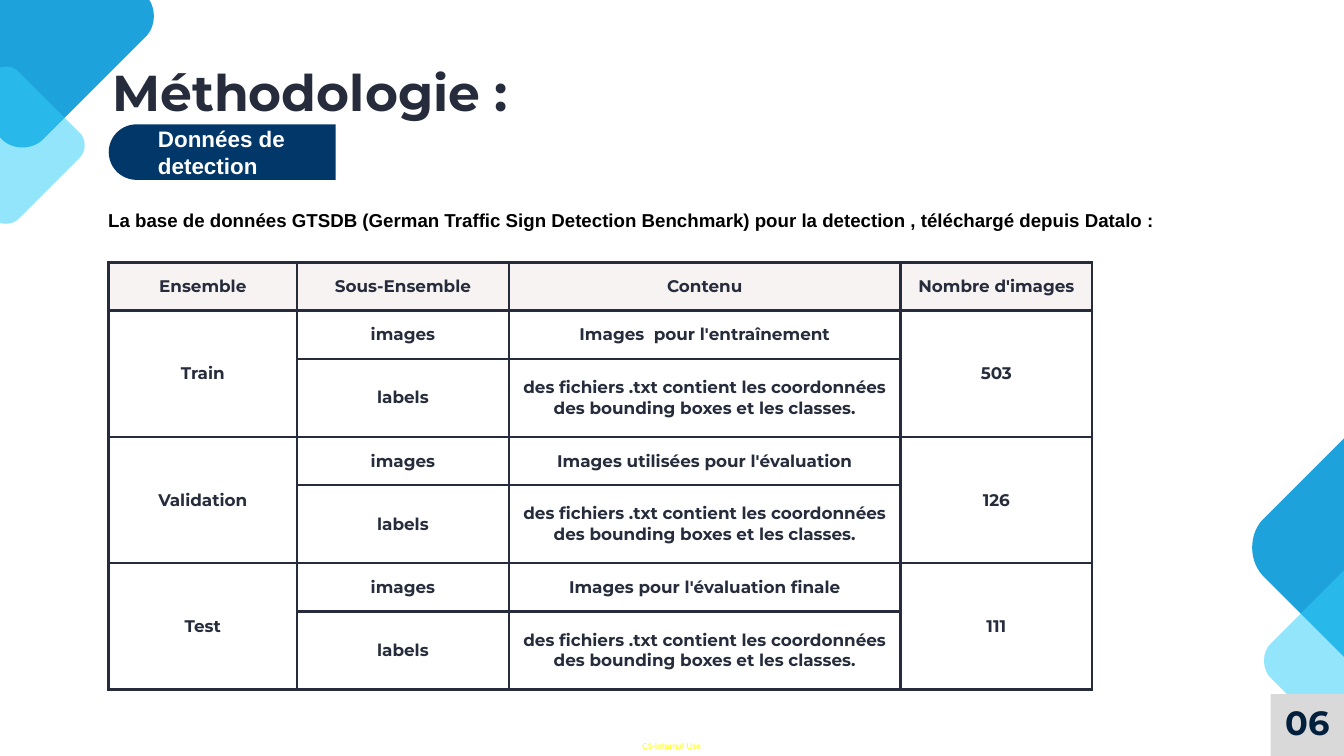
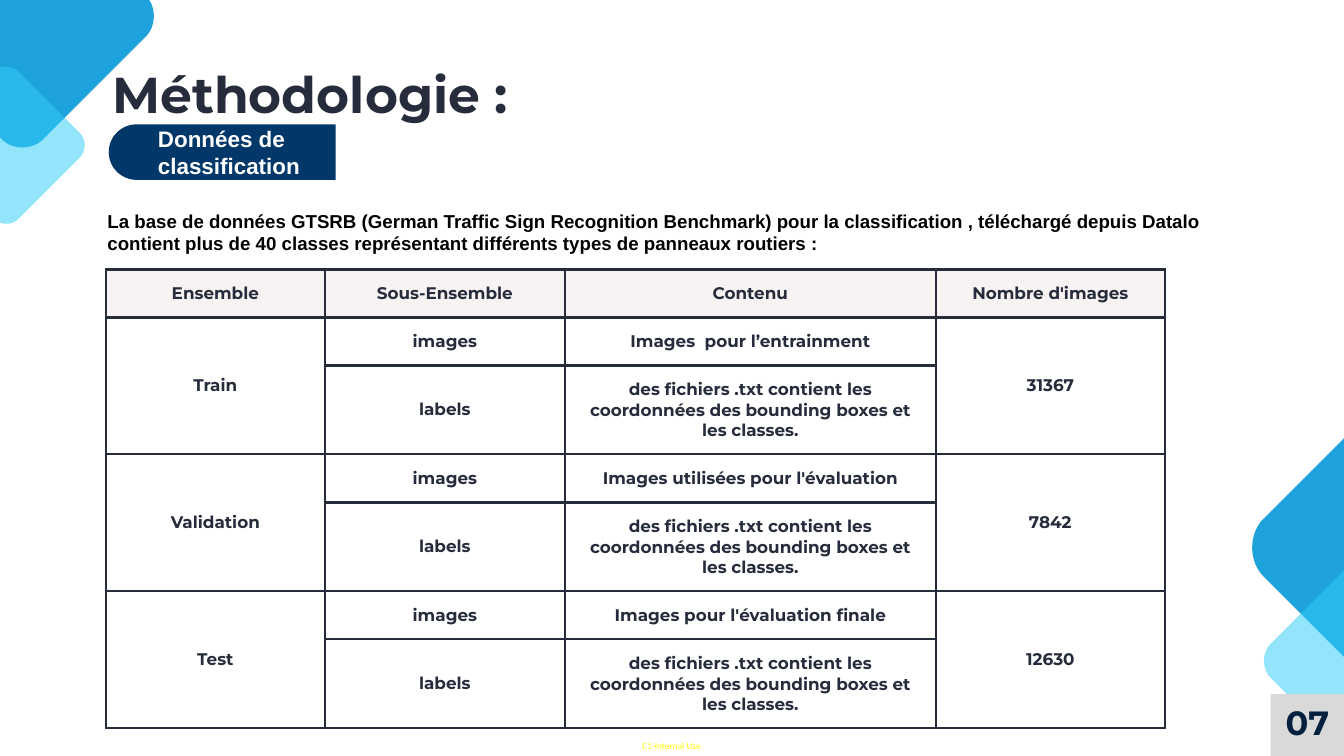
from lxml.etree import SubElement
from pptx import Presentation
from pptx.dml.color import RGBColor
from pptx.enum.shapes import MSO_SHAPE
from pptx.enum.text import MSO_ANCHOR, MSO_AUTO_SIZE, PP_ALIGN
from pptx.oxml.ns import qn
from pptx.util import Cm, Pt

INK = RGBColor(0x26, 0x2C, 0x3B)
NAVY = RGBColor(0x02, 0x37, 0x69)
NIGHT = RGBColor(0x01, 0x20, 0x3D)
BLUE = RGBColor(0x1D, 0xA2, 0xDB)
SKY = RGBColor(0x33, 0xCF, 0xF8)
GREY = RGBColor(0xD9, 0xD9, 0xD9)
CREAM = RGBColor(0xF7, 0xF3, 0xF2)
YELLOW = RGBColor(0xFF, 0xFF, 0x00)
WHITE = RGBColor(0xFF, 0xFF, 0xFF)
BLACK = RGBColor(0, 0, 0)

HEAD = "Montserrat"
BODY = "Arial"

# Centre x, centre y, half width, colour, opacity in percent
GEMS = [
    (54.28, 20.7, 7.11, BLUE, 100),
    (51.93, 24.98, 4.25, SKY, 53),
    (0.85, 0.61, 5.08, BLUE, 100),
    (0.23, 5.49, 3.04, SKY, 53),
]
# Start, two curve handles and end of the right-hand corner of a unit gem
CORNER = [(0.91, -0.16), (1, -0.08), (1, 0.08), (0.91, 0.16)]
HEADER = ["Ensemble", "Sous-Ensemble", "Contenu", "Nombre d'images"]
FILES = "des fichiers .txt contient les coordonnées des bounding boxes et les classes."


def write(frame, text, font=BODY, size=20, color=BLACK, bold=True,
          align=PP_ALIGN.LEFT, anchor=MSO_ANCHOR.TOP, inset=None, wrap=True):
    """Fill a text frame or a table cell; inset is in cm."""
    body = getattr(frame, "text_frame", frame)
    body.text = text
    body.word_wrap = wrap
    frame.vertical_anchor = anchor
    if inset is not None:
        frame.margin_left = frame.margin_right = Cm(inset)
        frame.margin_top = frame.margin_bottom = Cm(inset)
    par = body.paragraphs[0]
    par.alignment = align
    style = par.runs[0].font
    style.name, style.size, style.bold = font, Pt(size), bold
    style.color.rgb = color


class Deck:
    def __init__(self):
        self.file = Presentation()
        self.file.slide_width, self.file.slide_height = Cm(50.8), Cm(28.58)
        self.slide = None

    def start(self, number):
        """Add a slide with its corner gems, footer and page number."""
        self.slide = self.file.slides.add_slide(self.file.slide_layouts[5])
        self.text("C1-Internal Use", 24.28, 27.97, 2.29, 0.43, font="Calibri",
                  size=10, color=YELLOW, bold=False, inset=0, wrap=False)
        for gem in GEMS:
            self.gem(*gem)
        page = self.shape(MSO_SHAPE.RECTANGLE, 48.03, 26.24, 2.77, 2.34, GREY)
        write(page.text_frame, number, font=HEAD, size=36, color=NIGHT,
              align=PP_ALIGN.CENTER, anchor=MSO_ANCHOR.BOTTOM, inset=0.51, wrap=False)

    def paint(self, shape, color, alpha=100):
        shape.shadow.inherit = False
        shape.fill.solid()
        shape.fill.fore_color.rgb = color
        shape.line.fill.background()
        if alpha < 100:
            tone = shape._element.spPr.find(qn("a:solidFill"))[0]
            SubElement(tone, qn("a:alpha"), val=str(alpha * 1000))

    def shape(self, kind, x, y, w, h, color):
        shape = self.slide.shapes.add_shape(kind, Cm(x), Cm(y), Cm(w), Cm(h))
        self.paint(shape, color)
        return shape

    def gem(self, x, y, half, color, alpha):
        """Draw a diamond with rounded corners."""
        dots, corner = [], CORNER
        for _ in range(4):
            dots += [(Cm(x + half * u), Cm(y + half * v)) for u, v in corner]
            corner = [(-v, u) for u, v in corner]
        outline = self.slide.shapes.build_freeform(*dots[0])
        outline.add_line_segments(dots[1:], close=True)
        shape = outline.convert_to_shape()
        self.bend(shape)
        self.paint(shape, color, alpha)

    def bend(self, shape):
        """Turn the three lines of each corner into one curve."""
        lines = list(shape._element.iter(qn("a:lnTo")))
        for i in range(0, len(lines), 4):
            first, second, last = lines[i:i + 3]
            first.tag = qn("a:cubicBezTo")
            for line in (second, last):
                first.append(line[0])
                line.getparent().remove(line)

    def text(self, text, x, y, w, h, **style):
        box = self.slide.shapes.add_textbox(Cm(x), Cm(y), Cm(w), Cm(h))
        write(box.text_frame, text, **style)

    def title(self, text, y):
        title = self.slide.shapes.title
        title.left, title.top, title.width, title.height = Cm(3.99), Cm(y), Cm(42.8), Cm(3.18)
        write(title.text_frame, text, font=HEAD, size=54, color=INK, inset=0.25)
        title.text_frame.auto_size = MSO_AUTO_SIZE.NONE

    def badge(self, text):
        """Draw the section label: a bar rounded on its left end."""
        bar = self.shape(MSO_SHAPE.ROUND_2_SAME_RECTANGLE, 7.35, 1.46, 2.1, 8.58, NAVY)
        bar.adjustments[0], bar.adjustments[1] = 0.5, 0
        bar.rotation = 270
        self.text(text, 5.72, 4.6, 6.38, 2.31, size=24, color=WHITE)

    def border(self, cell):
        props = cell._tc.get_or_add_tcPr()
        for side in ("lnL", "lnR", "lnT", "lnB"):
            line = SubElement(props, qn(f"a:{side}"), w=str(Pt(3)))
            fill = SubElement(line, qn("a:solidFill"))
            SubElement(fill, qn("a:srgbClr"), val=str(INK))

    def table(self, x, y, widths, short, tall, sets):
        """Draw the data table; each set takes an image row and a label row."""
        rows = [HEADER]
        for name, note, count in sets:
            rows += [[name, "images", note, count], ["", "labels", FILES, ""]]
        heights = [short] + [short, tall] * len(sets)
        grid = self.slide.shapes.add_table(
            len(rows), len(widths), Cm(x), Cm(y), Cm(sum(widths)), Cm(sum(heights))).table
        grid.first_row = grid.horz_banding = False
        for col, width in zip(grid.columns, widths):
            col.width = Cm(width)
        for r, (row, height) in enumerate(zip(rows, heights)):
            grid.rows[r].height = Cm(height)
            for c, text in enumerate(row):
                cell = grid.cell(r, c)
                self.border(cell)
                if r == 0:
                    cell.fill.solid()
                    cell.fill.fore_color.rgb = CREAM
                else:
                    cell.fill.background()
                if text:
                    write(cell, text, font=HEAD, size=18, color=INK,
                          align=PP_ALIGN.CENTER, anchor=MSO_ANCHOR.MIDDLE, inset=0.53)
        for r in range(1, len(rows), 2):
            for c in (0, 3):
                grid.cell(r, c).merge(grid.cell(r + 1, c))


def main():
    deck = Deck()

    deck.start("06")
    deck.title("Méthodologie :", 2.06)
    deck.badge("Données de detection")
    deck.text("La base de données GTSDB (German Traffic Sign Detection Benchmark) "
              "pour la detection , téléchargé depuis Datalo :", 3.84, 7.77, 44.68, 1.12)
    deck.table(4.1, 9.92, [7.13, 8, 14.81, 7.24], 1.6, 2.95, [
        ("Train", "Images  pour l'entraînement", "503"),
        ("Validation", "Images utilisées pour l'évaluation", "126"),
        ("Test", "Images pour l'évaluation finale", "111"),
    ])

    deck.start("07")
    deck.title("Méthodologie :", 2.13)
    deck.badge("Données de classification")
    deck.text("La base de données GTSRB (German Traffic Sign Recognition Benchmark) "
              "pour la classification , téléchargé depuis Datalo contient plus de 40 "
              "classes représentant différents types de panneaux routiers :",
              3.81, 7.8, 44.68, 1.96)
    deck.table(4, 10.18, [8.28, 9.07, 14.02, 8.66], 1.73, 3, [
        ("Train", "Images  pour l’entrainment", "31367"),
        ("Validation", "Images utilisées pour l'évaluation", "7842"),
        ("Test", "Images pour l'évaluation finale", "12630"),
    ])

    deck.file.save("out.pptx")


if __name__ == "__main__":
    main()
